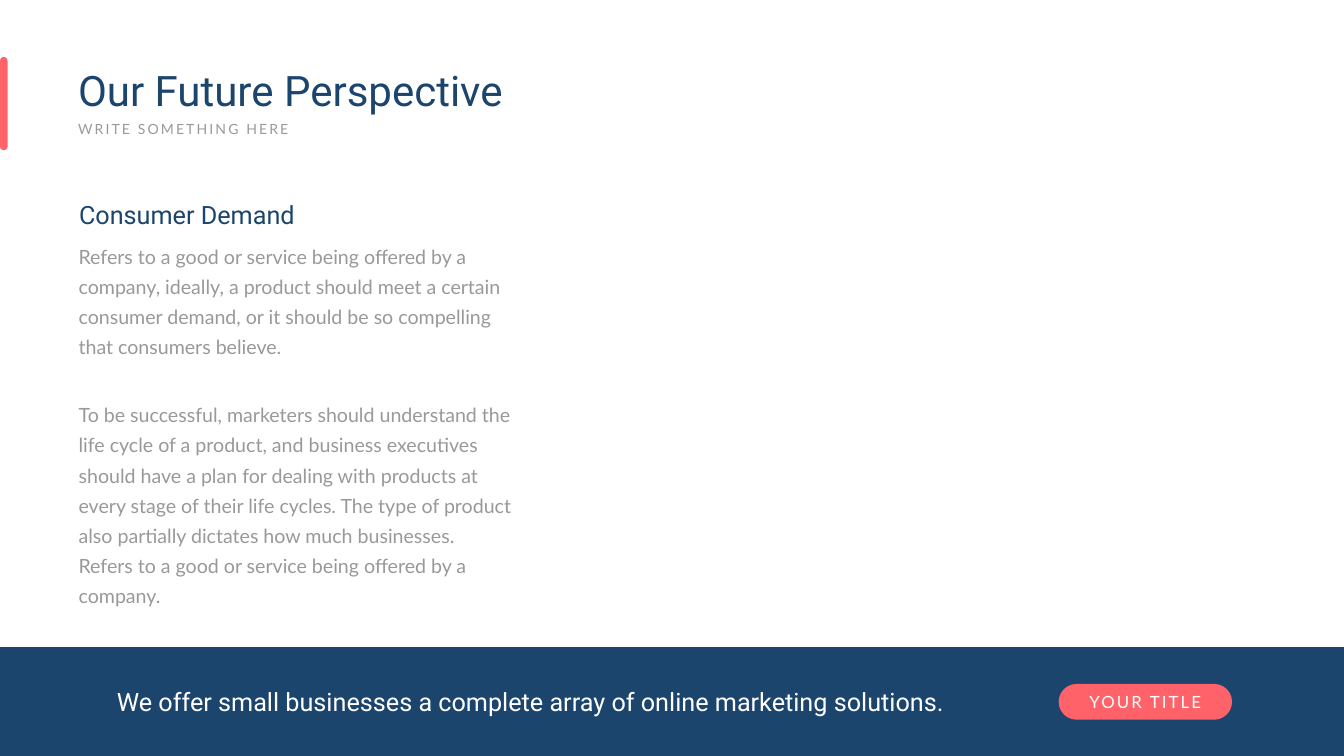
import pptx
import pptx.dml.color
import pptx.enum.shapes
import pptx.enum.text
import pptx.util

Inches = pptx.util.Inches
Pt = pptx.util.Pt
Kind = pptx.enum.shapes.MSO_SHAPE
Align = pptx.enum.text.PP_ALIGN
Anchor = pptx.enum.text.MSO_ANCHOR
Fit = pptx.enum.text.MSO_AUTO_SIZE

NAVY, CORAL, GRAY, WHITE = "1C456D", "FF6269", "999999", "FFFFFF"
HEAD, BODY = "Roboto", "Lato"

DEMAND = [
    "Refers to a good or service being offered by a company, ideally, a product "
    "should meet a certain consumer demand, or it should be so compelling that "
    "consumers believe.",
    "To be successful, marketers should understand the life cycle of a product, "
    "and business executives should have a plan for dealing with products at "
    "every stage of their life cycles. The type of product also partially "
    "dictates how much businesses. Refers to a good or service being offered "
    "by a company.",
]


def paint(color, value):
    color.rgb = pptx.dml.color.RGBColor.from_string(value)


def write(frame, texts, size, font, color, align=Align.LEFT, track=0, line=None, gap=0):
    """Fill a text frame; track is letter spacing, line and gap are in points."""
    for i, text in enumerate(texts):
        para = frame.paragraphs[0] if i == 0 else frame.add_paragraph()
        para.alignment = align
        if line:
            para.line_spacing = Pt(line)
        if i and gap:
            para.space_before = Pt(gap)
        run = para.add_run()
        run.text = text
        run.font.size = Pt(size)
        run.font.name = font
        paint(run.font.color, color)
        if track:
            run.font._element.set("spc", str(track * 100))


def add_text(slide, box, texts, pad=(0.1, 0.05), **look):
    frame = slide.shapes.add_textbox(*map(Inches, box)).text_frame
    frame.word_wrap = True
    frame.auto_size = Fit.SHAPE_TO_FIT_TEXT
    frame.margin_left = frame.margin_right = Inches(pad[0])
    frame.margin_top = frame.margin_bottom = Inches(pad[1])
    write(frame, texts, **look)


def add_block(slide, kind, box, fill):
    shape = slide.shapes.add_shape(kind, *map(Inches, box))
    shape.shadow.inherit = False
    shape.fill.solid()
    paint(shape.fill.fore_color, fill)
    shape.line.fill.background()
    return shape


def add_pill(slide, box, fill):
    pill = add_block(slide, Kind.ROUNDED_RECTANGLE, box, fill)
    pill.adjustments[0] = 0.5
    return pill


def add_badge(slide, box, text):
    frame = add_pill(slide, box, CORAL).text_frame
    frame.word_wrap = False
    frame.vertical_anchor = Anchor.MIDDLE
    write(frame, [text], size=24, font=BODY, color=WHITE, align=Align.CENTER, track=3)


def main():
    deck = pptx.Presentation()
    deck.slide_width, deck.slide_height = Inches(26.66), Inches(15)
    slide = deck.slides.add_slide(deck.slide_layouts[6])

    add_block(slide, Kind.RECTANGLE, (0, 12.84, 26.66, 2.16), NAVY)
    add_text(slide, (2.22, 13.57, 17.76, 0.71),
             ["We offer small businesses a complete array of online marketing solutions."],
             size=36, font=HEAD, color=WHITE)
    add_badge(slide, (21, 13.57, 3.44, 0.71), "YOUR TITLE")

    add_text(slide, (1.32, 4.61, 9.06, 7), DEMAND, pad=(0.24, 0.12),
             size=28, font=BODY, color=GRAY, line=43, gap=54.2)
    add_text(slide, (1.47, 3.9, 6.09, 0.71), ["Consumer Demand"],
             size=36, font=HEAD, color=NAVY)

    add_text(slide, (1.45, 1.24, 9.76, 1.11), ["Our Future Perspective"],
             size=60, font=HEAD, color=NAVY)
    add_text(slide, (1.45, 2.35, 5.85, 0.44), ["WRITE SOMETHING HERE"],
             size=20, font=BODY, color=GRAY, track=3)
    add_pill(slide, (0, 1.13, 0.15, 1.85), CORAL)

    deck.save("out.pptx")


if __name__ == "__main__":
    main()
